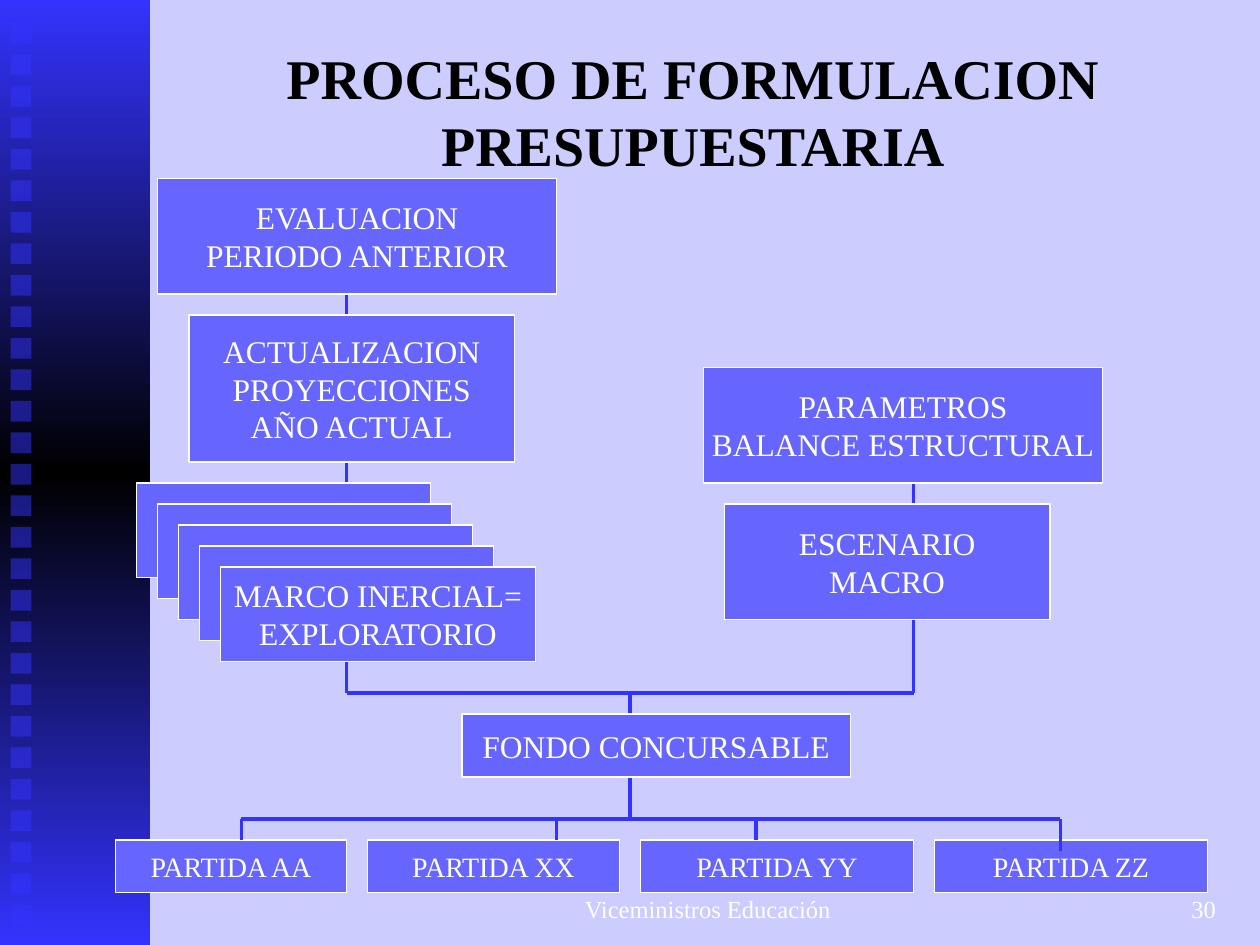
from copy import deepcopy

from pptx import Presentation
from pptx.dml.color import RGBColor
from pptx.enum.shapes import MSO_CONNECTOR as CONN, MSO_SHAPE as SHAPE
from pptx.enum.text import MSO_ANCHOR as ANCHOR, MSO_AUTO_SIZE as AUTO, PP_ALIGN as ALIGN
from pptx.oxml.ns import qn
from pptx.oxml.xmlchemy import OxmlElement
from pptx.util import Pt

LAVENDER = RGBColor(0xCC, 0xCC, 0xFF)
BLUE = RGBColor(0x33, 0x33, 0xFF)
PERIWINKLE = RGBColor(0x66, 0x66, 0xFF)
BLACK = RGBColor(0, 0, 0)
WHITE = RGBColor(0xFF, 0xFF, 0xFF)
FONT = "Times New Roman"


def write(tf, lines, size, color, align=ALIGN.CENTER, bold=False, wrap=True, indent=0):
    frame = {"word_wrap": wrap, "auto_size": AUTO.NONE, "vertical_anchor": ANCHOR.MIDDLE}
    for name, value in frame.items():
        setattr(tf, name, value)
    for i, line in enumerate(lines):
        p = tf.paragraphs[0] if i == 0 else tf.add_paragraph()
        p.alignment = align
        if indent:
            p._p.get_or_add_pPr().set("marL", str(Pt(indent)))
        r = p.add_run()
        r.text = line
        for name, value in {"name": FONT, "size": Pt(size), "bold": bold}.items():
            setattr(r.font, name, value)
        r.font.color.rgb = color


def add_rect(slide, x, y, w, h):
    sp = slide.shapes.add_shape(SHAPE.RECTANGLE, Pt(x), Pt(y), Pt(w), Pt(h))
    sp.shadow.inherit = False
    return sp


def add_box(slide, x, y, w, h, lines=(), size=18):
    sp = add_rect(slide, x, y, w, h)
    sp.fill.solid()
    sp.fill.fore_color.rgb = PERIWINKLE
    sp.line.color.rgb = WHITE
    sp.line.width = Pt(0.75)
    write(sp.text_frame, lines, size, WHITE, wrap=False)


def add_line(slide, x1, y1, x2, y2):
    ln = slide.shapes.add_connector(CONN.STRAIGHT, Pt(x1), Pt(y1), Pt(x2), Pt(y2))
    ln.line.color.rgb = BLUE
    ln.line.width = Pt(2.25)
    ln._element.spPr.append(OxmlElement("a:effectLst"))


def add_sidebar(slide, x, y, w, h):
    band = add_rect(slide, x, y, w, h)
    band.line.fill.background()
    band.fill.gradient()
    band.fill.gradient_angle = 90
    stops = band._element.spPr.find(qn("a:gradFill")).find(qn("a:gsLst"))
    stops.append(deepcopy(stops[0]))
    for stop, pos, color in zip(band.fill.gradient_stops, (0, 0.5, 1), (BLUE, BLACK, BLUE)):
        stop.position = pos
        stop.color.rgb = color
    for i in range(29):
        square = add_rect(slide, x + 6, y + 13 + 18 * i, 12, 12)
        square.line.fill.background()
        square.fill.solid()
        square.fill.fore_color.rgb = BLUE
        alpha = OxmlElement("a:alpha")
        alpha.set("val", "50000")
        square._element.spPr.find(qn("a:solidFill"))[0].append(alpha)


def add_title(slide, x, y, w, h):
    title = slide.shapes.title
    for name, value in {"left": x, "top": y, "width": w, "height": h}.items():
        setattr(title, name, Pt(value))
    write(title.text_frame, ["PROCESO DE FORMULACION PRESUPUESTARIA"], 32, BLACK, bold=True)


def add_inertial_branch(slide, x, y, h):
    add_line(slide, x + 120, y + 66, x + 120, y + h)
    add_box(slide, x + 12, y, 228, 66, ["EVALUACION", "PERIODO ANTERIOR"])
    add_box(slide, x + 30, y + 78, 186, 84, ["ACTUALIZACION", "PROYECCIONES", "AÑO ACTUAL"])
    for i in range(4):
        add_box(slide, x + 12 * i, y + 174 + 12 * i, 168, 54)
    add_box(slide, x + 48, y + 222, 180, 54, ["MARCO INERCIAL=", "EXPLORATORIO"])


def add_macro_branch(slide, x, y, h):
    add_line(slide, x + 120, y + 66, x + 120, y + h)
    add_box(slide, x, y, 228, 66, ["PARAMETROS", "BALANCE ESTRUCTURAL"])
    add_box(slide, x + 12, y + 78, 186, 66, ["ESCENARIO", "MACRO"])


def add_fund(slide, x, y, w, h):
    add_line(slide, x, y, x + w, y)
    add_line(slide, x + w / 2, y, x + w / 2, y + h)
    add_box(slide, x + 66, y + 12, 222, 36, ["FONDO CONCURSABLE"])


def add_budget_items(slide, x, y):
    left = x
    for name, width in (("AA", 132), ("XX", 144), ("YY", 156), ("ZZ", 156)):
        add_box(slide, left, y + 12, width, 30, [f"PARTIDA {name}"], 16)
        left += width + 12
    drops = {72: 12, 252: 12, 366: 12, 540: 18}
    for dx, drop in drops.items():
        add_line(slide, x + dx, y, x + dx, y + drop)
    add_line(slide, x + min(drops), y, x + max(drops), y)


def add_footer(slide, y, h):
    for text, x, w, align in (
        ("Viceministros Educación", 282, 228, ALIGN.CENTER),
        ("30", 552, 150, ALIGN.RIGHT),
    ):
        tb = slide.shapes.add_textbox(Pt(x), Pt(y), Pt(w), Pt(h))
        write(tb.text_frame, [text], 14, WHITE, align, indent=17)


def main():
    prs = Presentation()
    prs.slide_width, prs.slide_height = Pt(720), Pt(540)
    slide = prs.slides.add_slide(prs.slide_layouts[5])
    slide.background.fill.solid()
    slide.background.fill.fore_color.rgb = LAVENDER
    add_sidebar(slide, 0, 0, 86, 540)
    add_title(slide, 90, 18, 612, 90)
    add_inertial_branch(slide, 78, 102, 294)
    add_macro_branch(slide, 402, 210, 186)
    add_fund(slide, 198, 396, 324, 72)
    add_budget_items(slide, 66, 468)
    add_footer(slide, 510, 18)
    prs.save("out.pptx")


if __name__ == "__main__":
    main()
